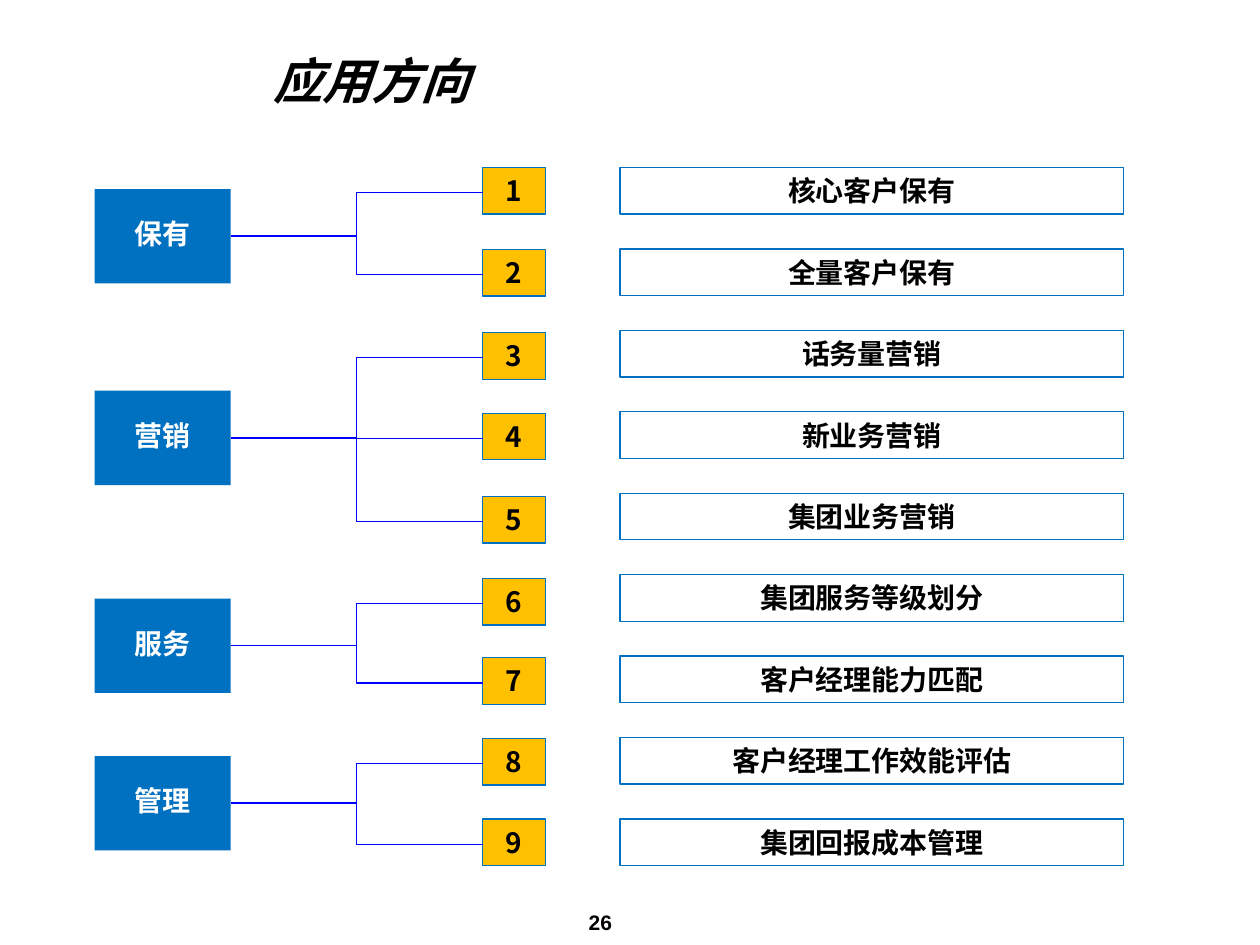
from dataclasses import dataclass

from lxml import etree
from pptx import Presentation
from pptx import util as u
from pptx.dml.color import RGBColor
from pptx.enum import shapes, text
from pptx.oxml.ns import qn

BLUE = RGBColor(0x00, 0x70, 0xC0)
AMBER = RGBColor(0xFF, 0xC0, 0x00)
LINE_BLUE = RGBColor(0x00, 0x00, 0xFF)
WHITE = RGBColor(0xFF, 0xFF, 0xFF)
BLACK = RGBColor(0x00, 0x00, 0x00)
PAGE_COLOR = RGBColor(0x04, 0x00, 0x00)
CJK_FONT = "Noto Sans CJK SC"

CATEGORY_LEFT, CATEGORY_WIDTH, CATEGORY_HEIGHT = 0.75, 1.08, 0.75
NUMBER_LEFT, NUMBER_WIDTH = 3.83, 0.5
CARD_LEFT, CARD_WIDTH = 4.92, 4
ROW_HEIGHT = 0.37
FIRST_TOP, LAST_TOP = 1.33, 6.5
BRANCH_DROP = 0.2  # where a branch meets its number box, below the top
NUMBER_TOPS = [1.33, 1.98, 2.64, 3.28, 3.94, 4.59, 5.22, 5.86, 6.5]


@dataclass
class Category:
    label: str
    top: float
    directions: list[str]


CATEGORIES = [
    Category("保有", 1.5, ["核心客户保有", "全量客户保有"]),
    Category("营销", 3.1, ["话务量营销", "新业务营销", "集团业务营销"]),
    Category("服务", 4.75, ["集团服务等级划分", "客户经理能力匹配"]),
    Category("管理", 6, ["客户经理工作效能评估", "集团回报成本管理"]),
]


def format_text(frame, size: float, color: RGBColor, latin: str = CJK_FONT,
                align=text.PP_ALIGN.CENTER, italic: bool = False) -> None:
    paragraph = frame.paragraphs[0]
    paragraph.alignment = align
    for run in paragraph.runs:
        font = run.font
        font.size, font.name = u.Pt(size), latin
        font.bold, font.italic = True, italic
        font.color.rgb = color
        east_asian = etree.Element(qn("a:ea"), typeface=CJK_FONT)
        font._element.find(qn("a:latin")).addnext(east_asian)


def add_box(slide, left: float, top: float, width: float, height: float,
            label: str, fill=None, line=None, color: RGBColor = BLACK,
            top_margin: float = 0.05):
    shape = slide.shapes.add_shape(
        shapes.MSO_SHAPE.RECTANGLE, u.Inches(left), u.Inches(top),
        u.Inches(width), u.Inches(height))
    shape.shadow.inherit = False
    if fill is None:
        shape.fill.background()
    else:
        shape.fill.solid()
        shape.fill.fore_color.rgb = fill
    if line is None:
        shape.line.fill.background()
    else:
        shape.line.color.rgb = line
        shape.line.width = u.Pt(0.75)
    frame = shape.text_frame
    frame.text = label
    frame.word_wrap = True
    frame.vertical_anchor = text.MSO_ANCHOR.TOP
    frame.margin_top = u.Inches(top_margin)
    format_text(frame, 16, color)
    return shape


def add_branch(slide, category_box, number_top: float) -> None:
    connector = slide.shapes.add_connector(
        shapes.MSO_CONNECTOR.ELBOW,
        category_box.left + category_box.width,
        category_box.top + category_box.height // 2,
        u.Inches(NUMBER_LEFT), u.Inches(number_top + BRANCH_DROP))
    connector.begin_connect(category_box, 3)
    connector.line.color.rgb = LINE_BLUE
    connector.line.width = u.Pt(0.75)
    etree.SubElement(connector._element.spPr, qn("a:effectLst"))


def add_title(slide) -> None:
    title = slide.shapes.title
    title.left, title.top = u.Inches(2.07), u.Inches(0.36)
    title.width, title.height = u.Inches(7.57), u.Inches(0.55)
    title.text_frame.text = "应用方向"
    title.text_frame.vertical_anchor = text.MSO_ANCHOR.MIDDLE
    format_text(title.text_frame, 28, BLACK, "Arial",
                text.PP_ALIGN.LEFT, italic=True)


def add_page_number(slide) -> None:
    box = slide.shapes.add_textbox(
        u.Inches(4.33), u.Inches(7.17), u.Inches(0.87), u.Inches(0.3))
    box.text_frame.text = "26"
    box.text_frame.word_wrap = True
    format_text(box.text_frame, 12, PAGE_COLOR, "Arial")


def main() -> None:
    presentation = Presentation()
    presentation.slide_width = u.Inches(10)
    presentation.slide_height = u.Inches(7.5)
    slide = presentation.slides.add_slide(presentation.slide_layouts[5])
    add_title(slide)

    # Each category branches to its numbered directions
    pitch = (LAST_TOP - FIRST_TOP) / (len(NUMBER_TOPS) - 1)
    row = 0
    for category in CATEGORIES:
        category_box = add_box(
            slide, CATEGORY_LEFT, category.top, CATEGORY_WIDTH,
            CATEGORY_HEIGHT, category.label, fill=BLUE, color=WHITE,
            top_margin=0.22)
        for direction in category.directions:
            number_top = NUMBER_TOPS[row]
            add_box(slide, CARD_LEFT, FIRST_TOP + row * pitch, CARD_WIDTH,
                    ROW_HEIGHT, direction, line=BLUE)
            add_box(slide, NUMBER_LEFT, number_top, NUMBER_WIDTH,
                    ROW_HEIGHT, str(row + 1), fill=AMBER, line=BLUE)
            add_branch(slide, category_box, number_top)
            row += 1

    add_page_number(slide)
    presentation.save("out.pptx")


if __name__ == "__main__":
    main()
